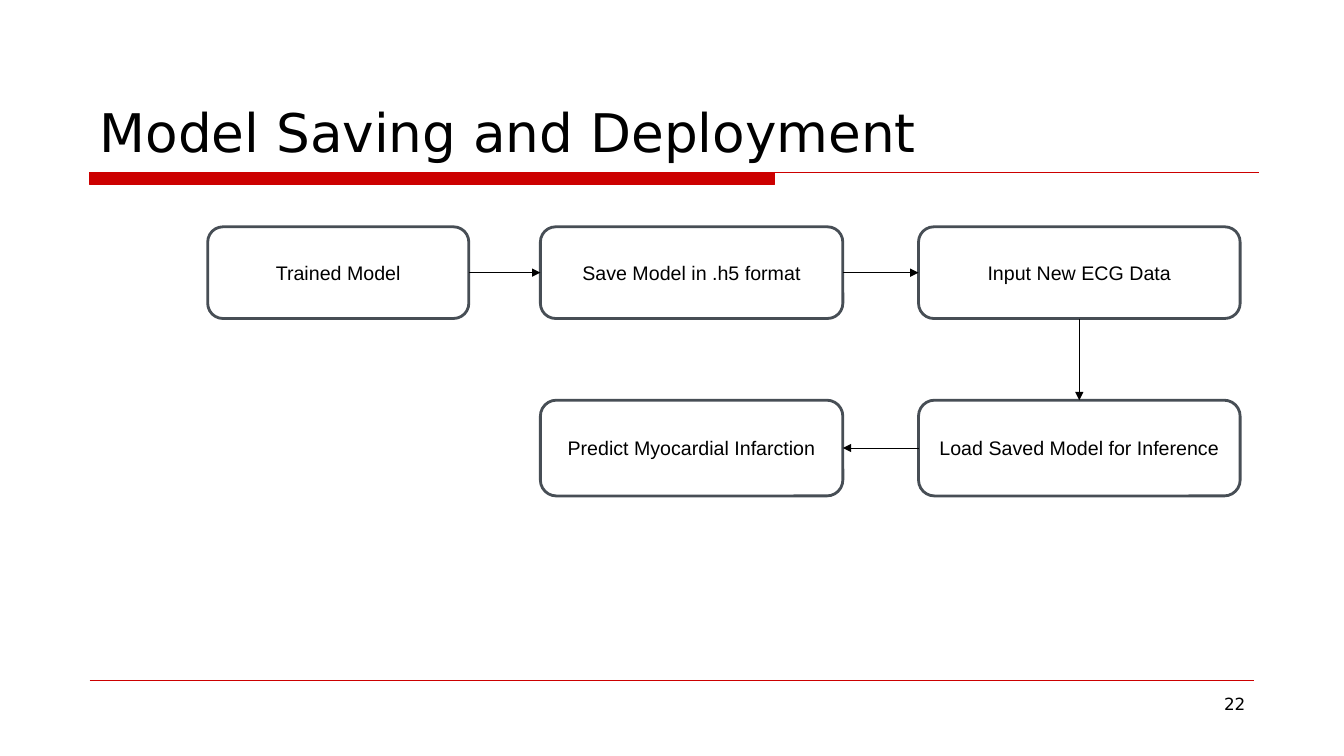
"""Build the Model Saving and Deployment flow slide."""
from lxml import etree
from pptx import Presentation
from pptx.dml.color import RGBColor
from pptx.enum.shapes import MSO_CONNECTOR, MSO_SHAPE
from pptx.enum.text import MSO_ANCHOR, PP_ALIGN
from pptx.oxml.ns import qn
from pptx.util import Inches, Pt

STRAIGHT = MSO_CONNECTOR.STRAIGHT
RECTANGLE, ROUNDED = MSO_SHAPE.RECTANGLE, MSO_SHAPE.ROUNDED_RECTANGLE
TOP, MIDDLE, BOTTOM = MSO_ANCHOR.TOP, MSO_ANCHOR.MIDDLE, MSO_ANCHOR.BOTTOM
LEFT, CENTER, RIGHT = PP_ALIGN.LEFT, PP_ALIGN.CENTER, PP_ALIGN.RIGHT

RED = RGBColor(0xCC, 0x00, 0x00)
SLATE = RGBColor(0x47, 0x4E, 0x55)
BLACK = RGBColor(0x00, 0x00, 0x00)
WHITE = RGBColor(0xFF, 0xFF, 0xFF)

TITLE = "Model Saving and Deployment"
PAGE_NUMBER = "22"
COLUMNS = [(2.06, 2.59), (5.36, 3.0), (9.11, 3.19)]
ROWS = [(2.25, 0.91), (3.97, 0.95)]
STEPS = [
    ("Trained Model", 0, 0),
    ("Save Model in .h5 format", 1, 0),
    ("Input New ECG Data", 2, 0),
    ("Load Saved Model for Inference", 2, 1),
    ("Predict Myocardial Infarction", 1, 1),
]
SITE_TOP, SITE_LEFT, SITE_BOTTOM, SITE_RIGHT = range(4)
EXITS = {
    (1, 0): (SITE_RIGHT, SITE_LEFT),
    (-1, 0): (SITE_LEFT, SITE_RIGHT),
    (0, 1): (SITE_BOTTOM, SITE_TOP),
}
RULES = [(0.89, 1.71, 12.49), (0.89, 6.75, 12.44)]


def write_text(shape, text, size, font="DejaVu Sans", align=LEFT, anchor=TOP, inset=(0.1, 0.05)):
    frame = shape.text_frame
    frame.word_wrap = True
    frame.vertical_anchor = anchor
    frame.margin_left = frame.margin_right = Inches(inset[0])
    frame.margin_top = frame.margin_bottom = Inches(inset[1])
    paragraph = frame.paragraphs[0]
    paragraph.alignment = align
    run = paragraph.add_run()
    run.text = text
    run.font.size = Pt(size)
    run.font.name = font
    run.font.color.rgb = BLACK


def add_box(slide, kind, place, fill, line, width):
    shape = slide.shapes.add_shape(kind, *map(Inches, place))
    shape.shadow.inherit = False
    shape.fill.solid()
    shape.fill.fore_color.rgb = fill
    shape.line.color.rgb = line
    shape.line.width = Pt(width)
    return shape


def add_line(slide, color, ends=(0, 0, 0, 0)):
    connector = slide.shapes.add_connector(STRAIGHT, *map(Inches, ends))
    connector.line.color.rgb = color
    connector.line.width = Pt(0.75)
    etree.SubElement(connector._element.spPr, qn("a:effectLst"))
    return connector


def add_arrow(slide, source, target, sites):
    connector = add_line(slide, BLACK)
    connector.begin_connect(source, sites[0])
    connector.end_connect(target, sites[1])
    outline = connector.line._get_or_add_ln()
    etree.SubElement(outline, qn("a:tailEnd"), type="triangle")


def main():
    presentation = Presentation()
    presentation.slide_width = Inches(13.33)
    presentation.slide_height = Inches(7.5)
    slide = presentation.slides.add_slide(presentation.slide_layouts[6])

    add_box(slide, RECTANGLE, (0.89, 1.71, 6.79, 0.12), RED, RED, 0.75)
    for left, top, right in RULES:
        add_line(slide, RED, (left, top, right, top))

    title = slide.shapes.add_textbox(*map(Inches, (0.89, 0.34, 11.99, 1.33)))
    write_text(title, TITLE, 38, anchor=BOTTOM)
    number = slide.shapes.add_textbox(*map(Inches, (9.56, 6.83, 2.89, 0.52)))
    write_text(number, PAGE_NUMBER, 12, align=RIGHT)

    boxes = []
    for text, column, row in STEPS:
        (left, width), (top, height) = COLUMNS[column], ROWS[row]
        box = add_box(slide, ROUNDED, (left, top, width, height), WHITE, SLATE, 2)
        write_text(box, text, 14, font="Arial", align=CENTER, anchor=MIDDLE, inset=(0, 0))
        boxes.append(box)

    for index in range(len(STEPS) - 1):
        (_, column, row), (_, next_column, next_row) = STEPS[index:index + 2]
        sites = EXITS[next_column - column, next_row - row]
        add_arrow(slide, boxes[index], boxes[index + 1], sites)

    presentation.save("out.pptx")


if __name__ == "__main__":
    main()
